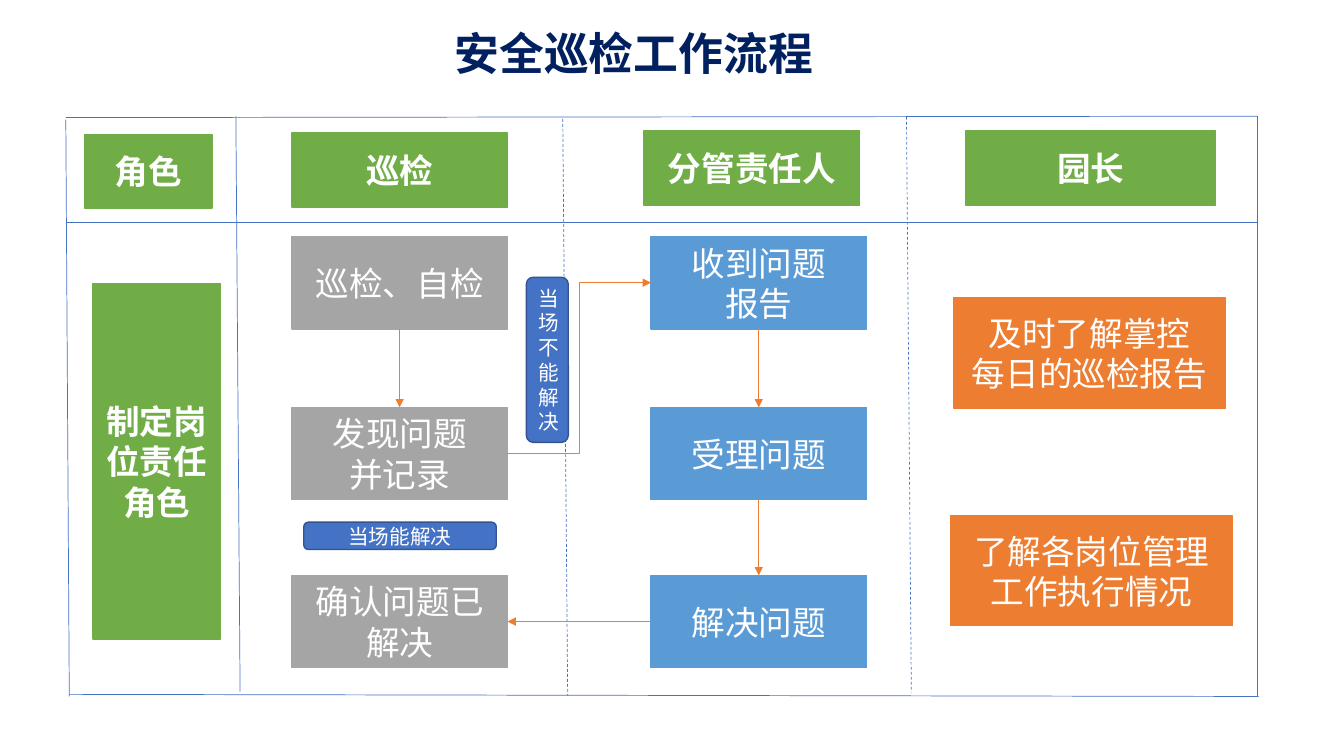
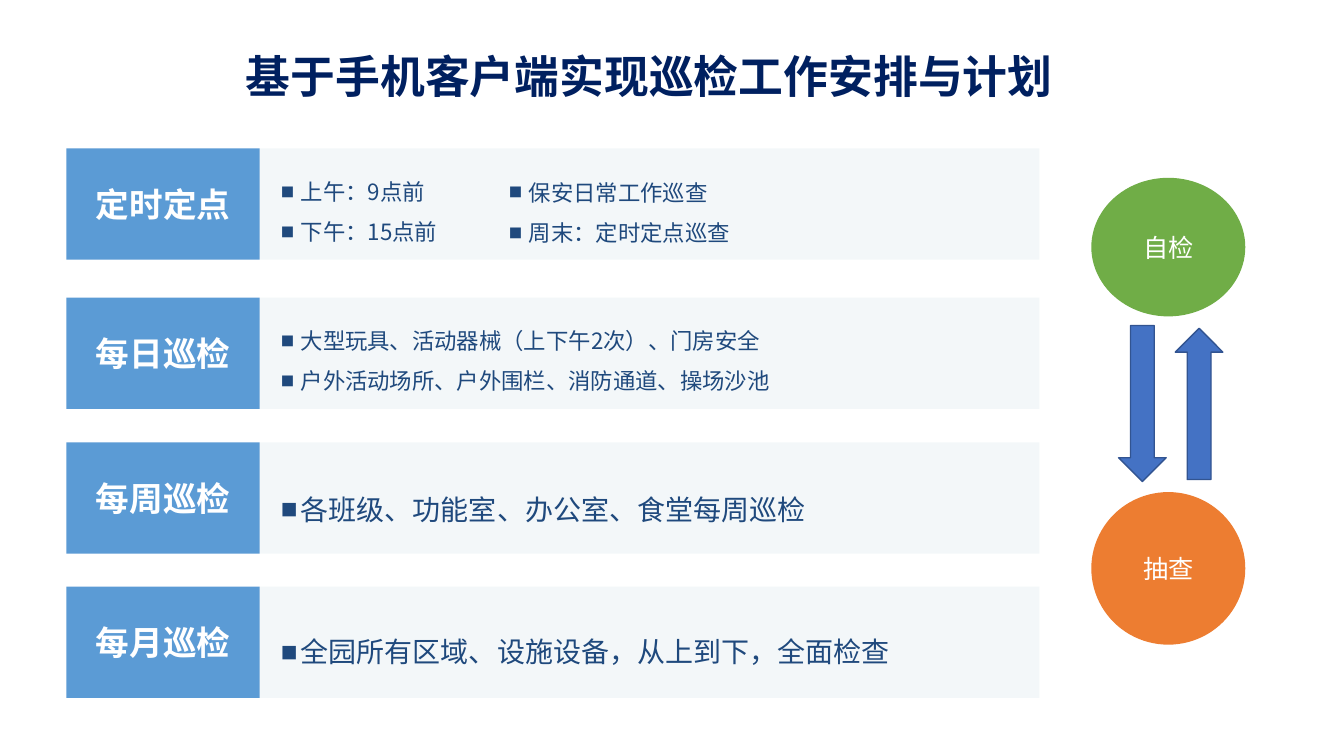
"""Build two slides on the kindergarten safety inspection process."""
import pptx
import pptx.util
import pptx.dml.color
import pptx.enum.dml
import pptx.enum.shapes
import pptx.enum.text
import pptx.oxml.ns
from lxml import etree

Pt = pptx.util.Pt
qn = pptx.oxml.ns.qn
RGB = pptx.dml.color.RGBColor.from_string
SHAPE = pptx.enum.shapes.MSO_SHAPE
CONNECTOR = pptx.enum.shapes.MSO_CONNECTOR
ALIGN = pptx.enum.text.PP_ALIGN
FONT = "Noto Sans CJK SC"
COLORS = {
    "title": "002060", "body": "1F497D", "white": "FFFFFF", "panel": "176C95",
    "gray": "A5A5A5", "blue": "5B9BD5", "green": "70AD47", "orange": "ED7D31",
    "royal": "4472C4", "royal_edge": "325491",
}


def write_text(box, text, size, color="white", bold=False, align=ALIGN.CENTER, bullet=False):
    frame = box.text_frame
    frame.word_wrap = True
    frame.text = text
    for para in frame.paragraphs:
        para.alignment = align
        if bullet:
            para.line_spacing = 1.5
            props = para._p.get_or_add_pPr()
            props.set("marL", str(Pt(14.25)))
            props.set("indent", str(-Pt(14.25)))
            etree.SubElement(props, qn("a:buSzPct")).set("val", "60000")
            etree.SubElement(props, qn("a:buFont")).set("typeface", FONT)
            etree.SubElement(props, qn("a:buChar")).set("char", "■")
        for span in para.runs:
            span.font.size = Pt(size)
            span.font.bold = bold
            span.font.color.rgb = RGB(COLORS[color])
            span.font.name = FONT
            etree.SubElement(span._r.get_or_add_rPr(), qn("a:ea")).set("typeface", FONT)


def add_block(page, kind, place, fill, edge=None, text="", size=24, bold=False):
    block = page.shapes.add_shape(kind, *map(Pt, place))
    block.shadow.inherit = False
    block.fill.solid()
    block.fill.fore_color.rgb = RGB(COLORS[fill])
    if edge:
        block.line.color.rgb = RGB(COLORS[edge])
        block.line.width = Pt(1)
    else:
        block.line.fill.background()
    if text:
        block.text_frame.vertical_anchor = pptx.enum.text.MSO_ANCHOR.MIDDLE
        write_text(block, text, size, bold=bold)
    return block


deck = pptx.Presentation()
deck.slide_width, deck.slide_height = Pt(960), Pt(540)
pages = []
for title, place in [
    ("安全巡检工作流程", (317.5, 14.5, 284, 46)),
    ("基于手机客户端实现巡检工作安排与计划", (168.5, 31.5, 605, 46)),
]:
    page = deck.slides.add_slide(deck.slide_layouts[6])
    title_box = page.shapes.add_textbox(*map(Pt, place))
    write_text(title_box, title, 32, "title", True, ALIGN.LEFT)
    pages.append(page)
flow_page, plan_page = pages

for start, end, dashed in [
    ((47, 84), (898, 83), False),
    ((48, 158.5), (898, 158.5), False),
    ((49.5, 496), (899, 497.5), False),
    ((47, 85.5), (49.5, 497.5), False),
    ((168.5, 83), (171.5, 494), False),
    ((898, 83), (898, 497.5), False),
    ((402, 85), (405.5, 497), True),
    ((647.5, 83.5), (651, 494.5), True),
]:
    rule = flow_page.shapes.add_connector(CONNECTOR.STRAIGHT, *map(Pt, start + end))
    rule.line.color.rgb = RGB(COLORS["royal"])
    rule.line.width = Pt(0.5)
    if dashed:
        rule.line.dash_style = pptx.enum.dml.MSO_LINE.DASH
    etree.SubElement(rule._element.spPr, qn("a:effectLst"))

for text, place, color, bold in [
    ("角色", (60.5, 96, 91, 52.5), "green", True),
    ("巡检", (208.5, 95, 154, 53), "green", True),
    ("分管责任人", (460, 93, 154, 54), "green", True),
    ("园长", (690, 93, 178, 54), "green", True),
    ("制定岗位责任角色", (66.5, 202.5, 91, 254), "green", True),
    ("及时了解掌控\n每日的巡检报告", (681, 213, 194.5, 78.5), "orange", False),
    ("了解各岗位管理工作执行情况", (679, 368.5, 201.5, 78.5), "orange", False),
]:
    add_block(flow_page, SHAPE.RECTANGLE, place, color, color, text, bold=bold)

steps = {}
for column, left, color, texts in [
    ("inspect", 208.5, "gray", ["巡检、自检", "发现问题\n并记录", "确认问题已解决"]),
    ("manage", 465, "blue", ["收到问题\n报告", "受理问题", "解决问题"]),
]:
    for row, (top, text) in enumerate(zip((169, 291, 411), texts)):
        steps[column, row] = add_block(
            flow_page, SHAPE.RECTANGLE, (left, top, 154, 66), color, color, text)

for kind, source, source_side, target, target_side in [
    (CONNECTOR.STRAIGHT, ("inspect", 0), 2, ("inspect", 1), 0),
    (CONNECTOR.ELBOW, ("inspect", 1), 3, ("manage", 0), 1),
    (CONNECTOR.STRAIGHT, ("manage", 0), 2, ("manage", 1), 0),
    (CONNECTOR.STRAIGHT, ("manage", 1), 2, ("manage", 2), 0),
    (CONNECTOR.STRAIGHT, ("manage", 2), 1, ("inspect", 2), 3),
]:
    arrow = flow_page.shapes.add_connector(kind, 0, 0, 0, 0)
    arrow.begin_connect(steps[source], source_side)
    arrow.end_connect(steps[target], target_side)
    arrow.line.color.rgb = RGB(COLORS["orange"])
    arrow.line.width = Pt(1)
    etree.SubElement(arrow.line._get_or_add_ln(), qn("a:tailEnd")).set("type", "triangle")
    etree.SubElement(arrow._element.spPr, qn("a:effectLst"))

for text, place in [
    ("当场能解决", (217, 373, 137.5, 19.5)),
    ("当场不能解决", (376, 198, 30, 118)),
]:
    add_block(flow_page, SHAPE.ROUNDED_RECTANGLE, place, "royal", "royal_edge", text, 14.7)

for label, top in [("定时定点", 106), ("每日巡检", 212.5), ("每周巡检", 316), ("每月巡检", 419)]:
    add_block(plan_page, SHAPE.RECTANGLE, (47.5, top, 138, 79.5), "blue", text=label, bold=True)
    panel = add_block(plan_page, SHAPE.RECTANGLE, (185.5, top, 557, 79.5), "panel")
    tint = panel._element.spPr.find(qn("a:solidFill")).find(qn("a:srgbClr"))
    etree.SubElement(tint, qn("a:alpha")).set("val", "5000")

for text, place, size in [
    ("上午：9点前\n下午：15点前", (193.5, 114, 147, 62), 16),
    ("保安日常工作巡查\n周末：定时定点巡查", (356.5, 114.5, 376, 62), 16),
    ("大型玩具、活动器械（上下午2次）、门房安全\n户外活动场所、户外围栏、消防通道、操场沙池",
     (193.5, 220.5, 524, 62), 16),
    ("各班级、功能室、办公室、食堂每周巡检", (193.5, 336, 473, 39.5), 20),
    ("全园所有区域、设施设备，从上到下，全面检查", (193.5, 438, 524, 39.5), 20),
]:
    bullet_box = plan_page.shapes.add_textbox(*map(Pt, place))
    write_text(bullet_box, text, size, "body", align=ALIGN.LEFT, bullet=True)

for text, place, color in [
    ("自检", (780, 127.5, 109, 98), "green"),
    ("抽查", (780, 352, 109, 108), "orange"),
]:
    add_block(plan_page, SHAPE.OVAL, place, color, color, text, 18)

for place, angle in [((799, 232.5, 34, 111.5), 0), ((839.5, 234.5, 34, 108), 180)]:
    block_arrow = add_block(plan_page, SHAPE.DOWN_ARROW, place, "royal", "royal_edge")
    block_arrow.rotation = angle

deck.save("out.pptx")
